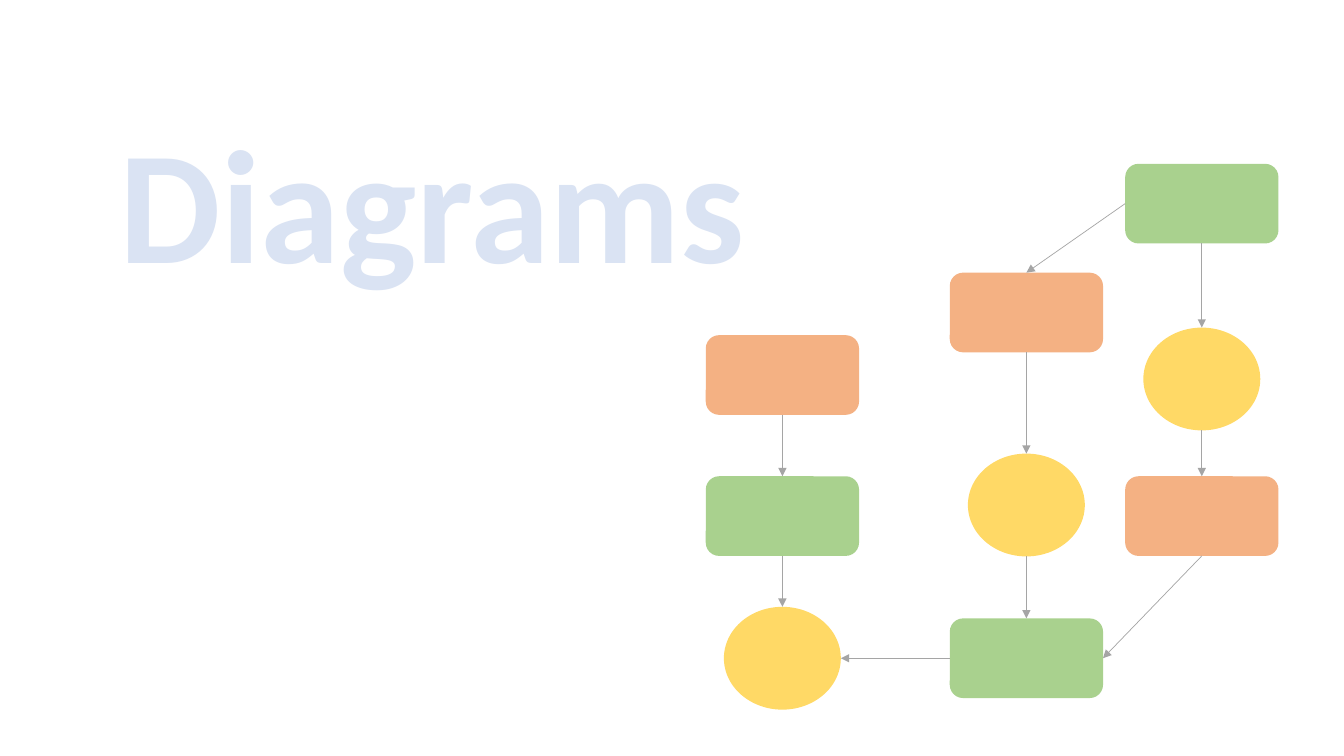
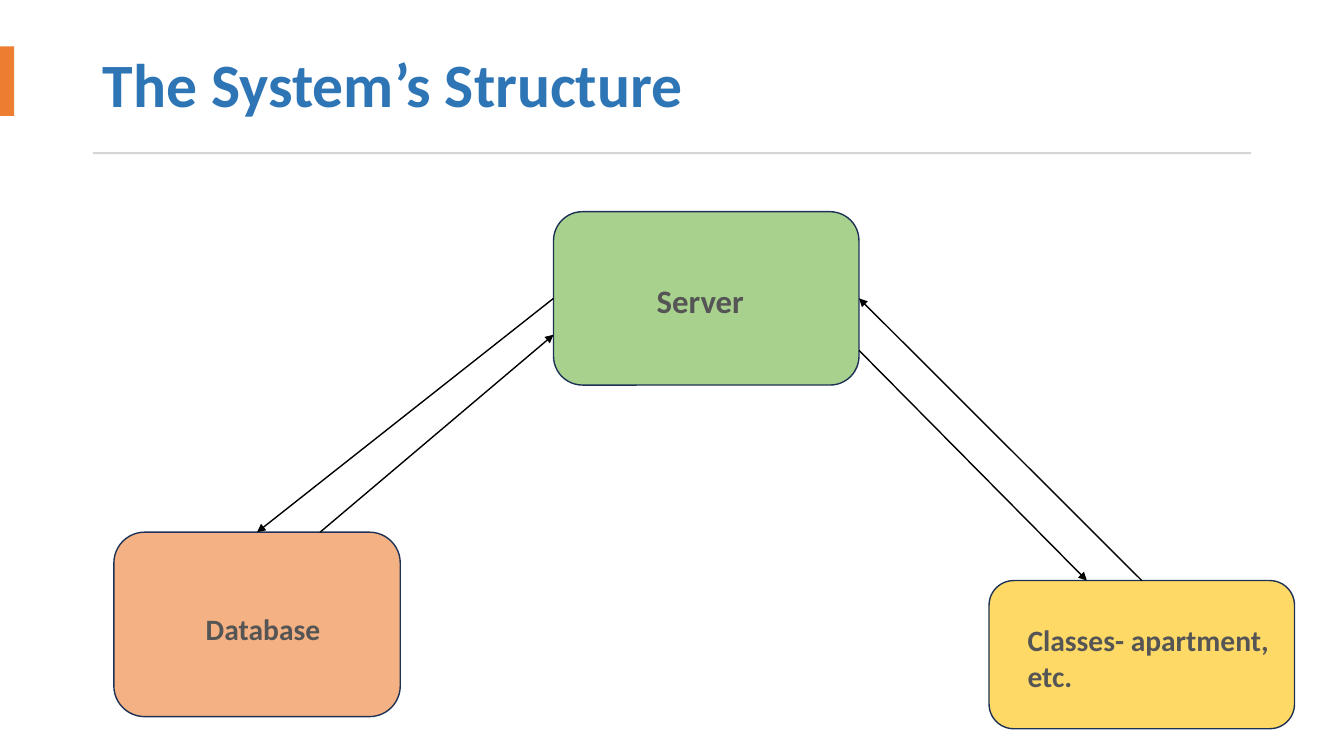
from dataclasses import dataclass

from lxml.etree import SubElement
from pptx import Presentation
from pptx.dml.color import RGBColor as Rgb
from pptx.enum.shapes import MSO_CONNECTOR as Connector, MSO_SHAPE as Shape
from pptx.enum.text import MSO_ANCHOR as Anchor, MSO_AUTO_SIZE as AutoSize, PP_ALIGN as Align
from pptx.oxml.ns import qn
from pptx.util import Inches, Pt

COLUMNS, ROWS = 13.33, 7.5
TOP, LEFT, BOTTOM, RIGHT = (0.5, 0), (0, 0.5), (0.5, 1), (1, 0.5)
SIDES = [TOP, LEFT, BOTTOM, RIGHT]


@dataclass(frozen=True)
class Theme:
    """Colours, font and type sizes of the deck."""
    font: str = "Calibri"
    green: str = "A9D18E"
    orange: str = "F4B183"
    yellow: str = "FFD966"
    accent: str = "ED7D31"
    rule: str = "D5D5D5"
    outline: str = "1E3256"
    arrow: str = "000000"
    soft_arrow: str = "A5A5A5"
    title: str = "2E75B6"
    pale_title: str = "DAE3F3"
    label: str = "555555"
    cover_size: float = 115
    title_size: float = 44
    large_label: float = 23.4
    small_label: float = 21.1


class Deck:
    """Draws elements on the current slide, on a grid of columns and rows."""

    def __init__(self, theme):
        self.theme = theme
        self.show = Presentation()
        self.show.slide_width = Inches(COLUMNS)
        self.show.slide_height = Inches(ROWS)
        self.slide = None

    def cells(self, columns, rows):
        """Turn a grid position into lengths."""
        return (int(self.show.slide_width * columns / COLUMNS),
                int(self.show.slide_height * rows / ROWS))

    def add_words(self, paragraph, words, size, colour):
        """Add one bold run in the deck's font."""
        run = paragraph.add_run()
        run.text = words
        run.font.name, run.font.size, run.font.bold = self.theme.font, Pt(size), True
        run.font.color.rgb = Rgb.from_string(colour)

    def new_slide(self, words, at, extent, size, colour):
        """Start a title-only slide with its title in place."""
        self.slide = self.show.slides.add_slide(self.show.slide_layouts[5])
        title = self.slide.shapes.title
        title.left, title.top = self.cells(*at)
        title.width, title.height = self.cells(*extent)
        frame = title.text_frame
        frame.auto_size, frame.vertical_anchor = AutoSize.NONE, Anchor.MIDDLE
        frame.paragraphs[0].alignment = Align.LEFT
        self.add_words(frame.paragraphs[0], words, size, colour)

    def block(self, kind, at, extent, fill, outline=None):
        """Add a filled preset shape."""
        block = self.slide.shapes.add_shape(kind, *self.cells(*at), *self.cells(*extent))
        block.shadow.inherit = False
        block.fill.solid()
        block.fill.fore_color.rgb = Rgb.from_string(fill)
        if outline:
            block.line.color.rgb = Rgb.from_string(outline)
            block.line.width = Pt(1)
        else:
            block.line.fill.background()
        return block

    def step(self, kind, centre, extent, fill):
        """Add a flow step around its centre."""
        corner = [middle - length / 2 for middle, length in zip(centre, extent)]
        return self.block(kind, corner, extent, fill)

    def component(self, words, at, extent, fill, size, nudge, align=Align.CENTER):
        """Add an outlined box with a label moved slightly off its centre."""
        box = self.block(Shape.ROUNDED_RECTANGLE, at, extent, fill, self.theme.outline)
        frame = box.text_frame
        frame.word_wrap, frame.vertical_anchor = True, Anchor.MIDDLE
        across, down = nudge
        frame.margin_left, frame.margin_top = self.cells(0.2 + across, 0.2 + down)
        frame.margin_right, frame.margin_bottom = self.cells(0.2 - across, 0.2 - down)
        frame.paragraphs[0].alignment = align
        self.add_words(frame.paragraphs[0], words, size, self.theme.label)
        return box

    def arrow(self, source, leave, target, arrive, colour, width):
        """Draw an arrow between points given as shares of two shapes."""
        ends = [(source, leave), (target, arrive)]
        points = [length for shape, (across, down) in ends
                  for length in (int(shape.left + shape.width * across),
                                 int(shape.top + shape.height * down))]
        link = self.slide.shapes.add_connector(Connector.STRAIGHT, *points)
        link.line.color.rgb = Rgb.from_string(colour)
        link.line.width = Pt(width)
        properties = link.element.spPr
        SubElement(properties.find(qn("a:ln")), qn("a:tailEnd"), type="triangle")
        SubElement(properties, qn("a:effectLst"))
        for join, (shape, side) in zip((link.begin_connect, link.end_connect), ends):
            if side in SIDES and (side == TOP or shape.auto_shape_type != Shape.OVAL):
                join(shape, SIDES.index(side))


def draw_cover(deck):
    """Draw the section cover with its flow chart."""
    theme = deck.theme
    deck.new_slide("Diagrams", (1.09, 0.93), (7, 2.1), theme.cover_size, theme.pale_title)
    looks = {
        "green": (Shape.ROUNDED_RECTANGLE, (1.52, 0.79), theme.green),
        "orange": (Shape.ROUNDED_RECTANGLE, (1.52, 0.79), theme.orange),
        "yellow": (Shape.OVAL, (1.16, 1.02), theme.yellow),
    }
    lanes = {
        "left": (7.76, [("orange", 3.72), ("green", 5.12), ("yellow", 6.53)]),
        "middle": (10.18, [("orange", 3.1), ("yellow", 5.01), ("green", 6.53)]),
        "right": (11.92, [("green", 2.02), ("yellow", 3.76), ("orange", 5.12)]),
    }
    stroke = theme.soft_arrow, 0.5
    steps = {}
    for lane, (column, entries) in lanes.items():
        steps[lane] = []
        for look, row in entries:
            kind, extent, fill = looks[look]
            steps[lane].append(deck.step(kind, (column, row), extent, fill))
        for upper, lower in zip(steps[lane], steps[lane][1:]):
            deck.arrow(upper, BOTTOM, lower, TOP, *stroke)
    left, middle, right = steps.values()
    deck.arrow(right[0], LEFT, middle[0], TOP, *stroke)
    deck.arrow(right[-1], BOTTOM, middle[-1], RIGHT, *stroke)
    deck.arrow(middle[-1], LEFT, left[-1], RIGHT, *stroke)


def draw_structure(deck):
    """Draw the system's parts and the exchanges between them."""
    theme = deck.theme
    deck.new_slide("The System’s Structure", (0.92, 0.27), (11.49, 1.1),
                   theme.title_size, theme.title)
    deck.block(Shape.RECTANGLE, (0, 0.46), (0.14, 0.69), theme.accent)
    deck.block(Shape.RECTANGLE, (0.92, 1.51), (11.49, 0.02), theme.rule)
    server = deck.component("Server", (5.49, 2.1), (3.03, 1.72), theme.green,
                            theme.large_label, (-0.06, 0.02))
    classes = deck.component("Classes- apartment, etc.", (9.81, 5.76), (3.03, 1.47),
                             theme.yellow, theme.small_label, (0.11, 0.03), Align.LEFT)
    database = deck.component("Database", (1.13, 5.28), (2.84, 1.83), theme.orange,
                              theme.small_label, (0.06, 0.04))
    for exchange in [
        (classes, TOP, server, RIGHT),
        (server, LEFT, database, TOP),
        (database, (0.72, 0), server, (0, 0.71)),
        (server, (1, 0.8), classes, (0.32, 0)),
    ]:
        deck.arrow(*exchange, theme.arrow, 1)


def main():
    """Build and save the deck."""
    deck = Deck(Theme())
    draw_cover(deck)
    draw_structure(deck)
    deck.show.save("out.pptx")


if __name__ == "__main__":
    main()
